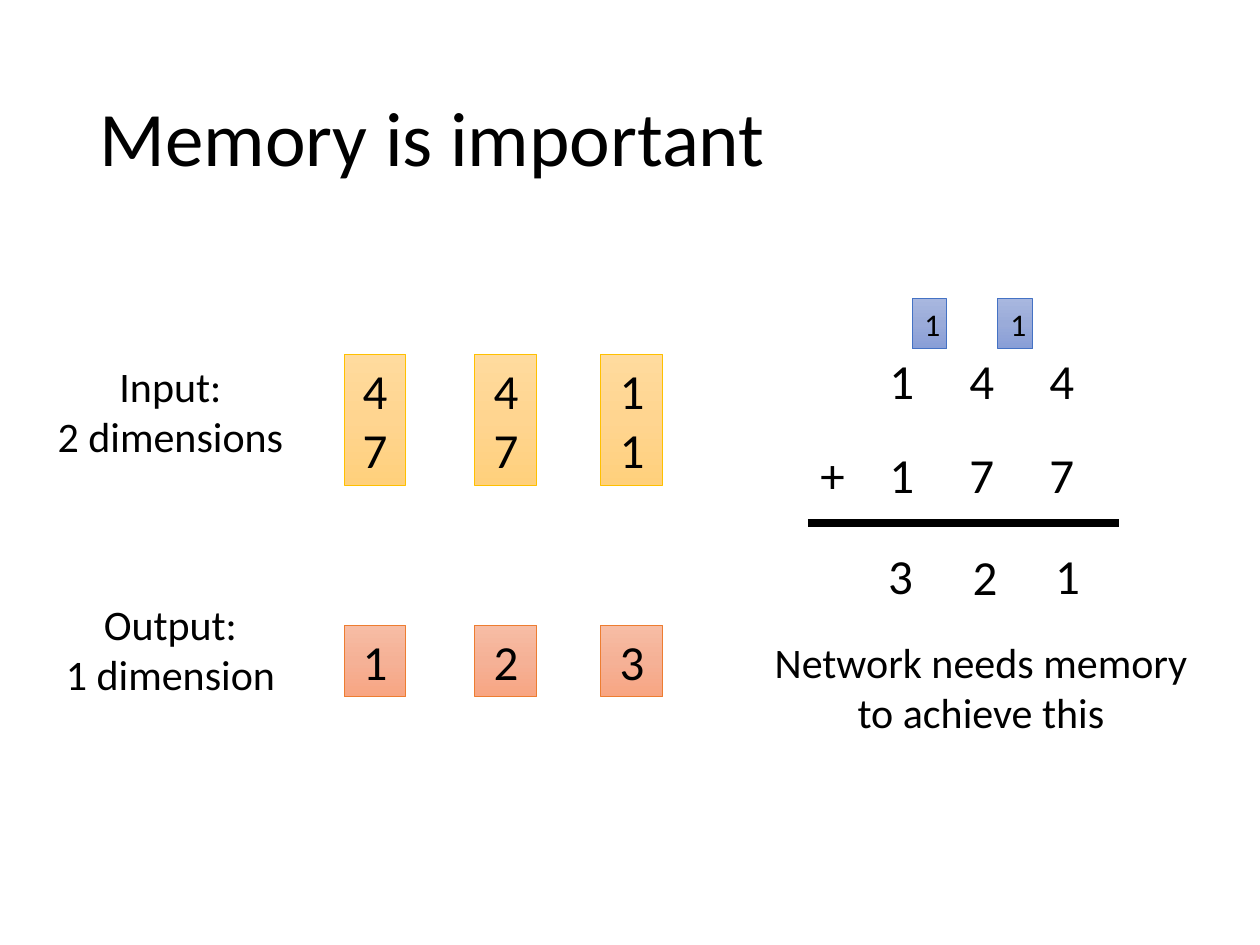
"""Build the slide showing why adding numbers digit by digit needs memory."""
from copy import deepcopy

from lxml import etree
from pptx import Presentation, util as u
from pptx.dml.color import RGBColor
from pptx.enum import shapes, text
from pptx.oxml.ns import qn

PX = u.Inches(1) / 126
FONT = "Calibri"
BLACK = RGBColor(0, 0, 0)
YELLOW = [RGBColor.from_string(c) for c in ("FFDB9E", "FFD590", "FFD07C", "FFC000")]
ORANGE = [RGBColor.from_string(c) for c in ("F7BDA5", "F5B196", "F8A582", "ED7D31")]
BLUE = [RGBColor.from_string(c) for c in ("A8B7DF", "9AABD9", "889ED7", "4472C4")]
LEFT, CENTER = text.PP_ALIGN.LEFT, text.PP_ALIGN.CENTER

TITLE = "Memory is important"
STEPS = [(344, "4\n7", "1"), (475, "4\n7", "2"), (601, "1\n1", "3")]
CARRIES = [(912, "1"), (998, "1")]
DIGIT_PITCH = 80
ADDENDS = [(344, "1\t4\t4"), (438, "1\t7\t7")]
LABELS = [
    ((-6, 354, 353, 115), "Input:\n2 dimensions", 24, CENTER),
    ((-6, 592, 353, 115), "Output:\n1 dimension", 24, CENTER),
    ((748, 630, 466, 115), "Network needs memory to achieve this", 24, CENTER),
    ((808, 438, 48, 72), "+", 28, LEFT),
    ((843, 539, 115, 72), "3", 28, CENTER),
    ((929, 540, 112, 72), "2", 28, CENTER),
    ((1024, 539, 87, 72), "1", 28, CENTER),
]
SUM_LINE = (808, 523, 1119, 523)


def emu(*lengths):
    return [u.Emu(round(n * PX)) for n in lengths]


def write(sp, words, size, align):
    tf = sp.text_frame
    tf.word_wrap = True
    tf.text = words
    for p in tf.paragraphs:
        p.alignment = align
        for r in p.runs:
            r.font.name, r.font.size, r.font.color.rgb = FONT, u.Pt(size), BLACK
    return tf


def add_label(s, box, words, size, align):
    return write(s.shapes.add_textbox(*emu(*box)), words, size, align)


def add_box(s, box, words, size, align, palette):
    sp = s.shapes.add_shape(shapes.MSO_SHAPE.RECTANGLE, *emu(*box))
    sp.shadow.inherit = False
    sp.fill.gradient()
    stops = sp._element.spPr.find(".//" + qn("a:gsLst"))
    stops.append(deepcopy(stops[0]))
    for i, stop in enumerate(sp.fill.gradient_stops):
        stop.position, stop.color.rgb = i / 2, palette[i]
    sp.fill.gradient_angle = 270
    sp.line.color.rgb, sp.line.width = palette[3], u.Pt(0.5)
    write(sp, words, size, align)


def main():
    prs = Presentation()
    prs.slide_width, prs.slide_height = u.Inches(10), u.Inches(7.5)
    s = prs.slides.add_slide(prs.slide_layouts[5])

    title = s.shapes.title
    title.left, title.top, title.width, title.height = emu(87, 50, 1086, 183)
    tf = write(title, TITLE, 44, LEFT)
    tf.vertical_anchor = text.MSO_ANCHOR.MIDDLE
    tf.paragraphs[0].line_spacing = 0.9

    for x, digits, result in STEPS:
        add_box(s, (x, 354, 62, 131), digits, 28, CENTER, YELLOW)
        add_box(s, (x, 625, 62, 72), result, 28, CENTER, ORANGE)
    for x, digit in CARRIES:
        add_box(s, (x, 299, 35, 50), digit, 18, LEFT, BLUE)
    for label in LABELS:
        add_label(s, *label)

    for y, digits in ADDENDS:
        p = add_label(s, (877, y, 242, 72), digits, 28, LEFT).paragraphs[0]
        tabs = etree.SubElement(p._p.get_or_add_pPr(), qn("a:tabLst"))
        for pos in emu(DIGIT_PITCH, 2 * DIGIT_PITCH):
            etree.SubElement(tabs, qn("a:tab"), pos=str(int(pos)), algn="l")

    line = s.shapes.add_connector(shapes.MSO_CONNECTOR.STRAIGHT, *emu(*SUM_LINE))
    line.line.color.rgb, line.line.width = BLACK, u.Pt(4.5)
    etree.SubElement(line._element.spPr, qn("a:effectLst"))

    prs.save("out.pptx")


if __name__ == "__main__":
    main()
